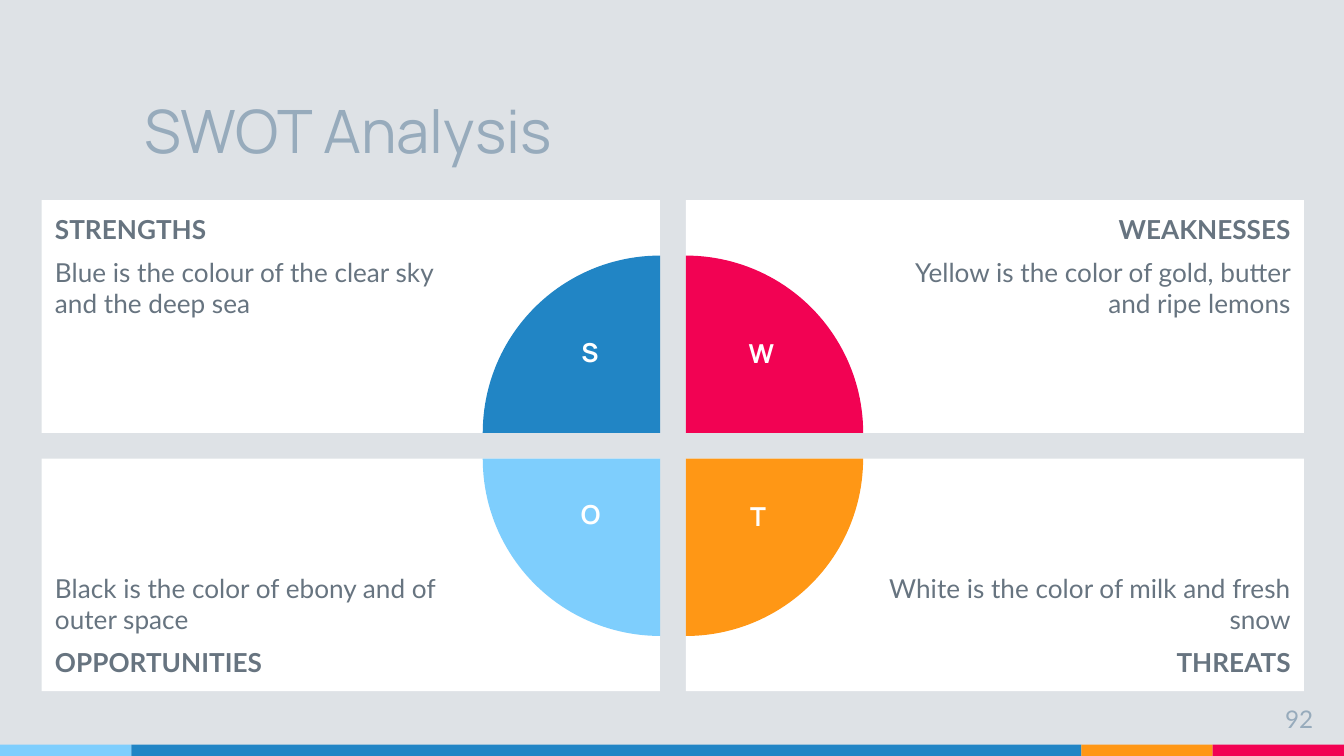
from pptx import Presentation
from pptx.dml.color import RGBColor
from pptx.enum import shapes, text
from pptx.util import Pt

BACK = RGBColor(0xDE, 0xE2, 0xE6)
WHITE = RGBColor(0xFF, 0xFF, 0xFF)
MIST = RGBColor(0x97, 0xAB, 0xBC)
SLATE = RGBColor(0x67, 0x74, 0x80)
BLUE = RGBColor(0x21, 0x85, 0xC5)
RED = RGBColor(0xF2, 0x02, 0x53)
AMBER = RGBColor(0xFF, 0x97, 0x15)
SKY = RGBColor(0x7E, 0xCE, 0xFD)

LEFT, RIGHT = text.PP_ALIGN.LEFT, text.PP_ALIGN.RIGHT
MID = text.PP_ALIGN.CENTER
TOP, BASE = text.MSO_ANCHOR.TOP, text.MSO_ANCHOR.BOTTOM
RECT, PIE = shapes.MSO_SHAPE.RECTANGLE, shapes.MSO_SHAPE.PIE

# Content: head, body, column, row, colour, turn, letter, letter box
PARTS = [
    ("STRENGTHS", "Blue is the colour of the clear sky and the deep sea",
     0, 0, BLUE, 0, "S", (302.4, 176.4, 27.4, 35)),
    ("WEAKNESSES", "Yellow is the color of gold, butter and ripe lemons",
     1, 0, RED, 90, "W", (382.3, 177, 51.1, 35)),
    ("THREATS", "White is the color of milk and fresh snow",
     1, 1, AMBER, 180, "T", (391.7, 264.3, 28.8, 35)),
    ("OPPORTUNITIES", "Black is the color of ebony and of outer space",
     0, 1, SKY, 270, "O", (299.5, 263.6, 33.8, 35)),
]
BANDS = [(SKY, 70.4), (BLUE, 509), (AMBER, 70.3), (RED, 70.3)]

# Grid
CARD_W, CARD_H, GAP = 331.2, 124.6, 13.8
CARD_X, CARD_Y = 22.4, 107.3
PIE_D = 190

deck = Presentation()
deck.slide_width, deck.slide_height = Pt(720), Pt(405)
slide = deck.slides.add_slide(deck.slide_layouts[5])
slide.background.fill.solid()
slide.background.fill.fore_color.rgb = BACK


def add(kind, box, color):
    item = slide.shapes.add_shape(kind, *map(Pt, box))
    item.shadow.inherit = False
    item.fill.solid()
    item.fill.fore_color.rgb = color
    item.line.fill.background()
    return item


def write(item, lines, font="Lato", size=14, color=SLATE, align=LEFT,
          anchor=TOP, pad=(7.2, 7.2, 7.2, 7.2)):
    """Fill a shape with (words, bold) lines."""
    frame = item.text_frame
    frame.word_wrap = True
    frame.auto_size = text.MSO_AUTO_SIZE.NONE
    frame.vertical_anchor = anchor
    (frame.margin_left, frame.margin_top,
     frame.margin_right, frame.margin_bottom) = map(Pt, pad)
    for n, (words, bold) in enumerate(lines):
        para = frame.add_paragraph() if n else frame.paragraphs[0]
        para.alignment = align
        para.space_before = Pt(6 if n else 0)
        run = para.add_run()
        run.text = words
        run.font.name, run.font.size = font, Pt(size)
        run.font.bold = bold
        run.font.color.rgb = color


def label(box, words, bold=False, **look):
    write(slide.shapes.add_textbox(*map(Pt, box)), [(words, bold)], **look)


# Footer bands
x = 0
for color, wide in BANDS:
    add(RECT, (x, 399, wide, 6), color)
    x += wide

# Title and page number
title = slide.shapes.title
title.left, title.top, title.width, title.height = map(
    Pt, (70.4, 28.2, 509, 67.5))
write(title, [("SWOT Analysis", False)], font="Manrope", size=32,
      color=MIST, anchor=BASE)
label((667.4, 370, 43.2, 24.5), "92", size=13, color=MIST, align=RIGHT)

# Cards
for head, body, col, row, *_ in PARTS:
    card = add(RECT, (CARD_X + col * (CARD_W + GAP),
                      CARD_Y + row * (CARD_H + GAP), CARD_W, CARD_H), WHITE)
    lines = [(head, True), (body, False)]
    write(card, lines[::-1] if row else lines,
          align=RIGHT if col else LEFT, anchor=BASE if row else TOP,
          pad=(108, 7.2, 7.2, 7.2) if col else (7.2, 7.2, 108, 7.2))

# Quarter pies, each centred on the inner corner of its card
for _, _, col, row, color, turn, _, _ in PARTS:
    quad = add(PIE, (CARD_X + CARD_W + col * GAP - PIE_D / 2,
                     CARD_Y + CARD_H + row * GAP - PIE_D / 2,
                     PIE_D, PIE_D), color)
    quad.adjustments[0], quad.adjustments[1] = 108, 162
    quad.rotation = turn

# Letters
for *_, letter, box in PARTS:
    label(box, letter, bold=True, font="Manrope", color=WHITE, align=MID,
          pad=(7.2, 3.6, 7.2, 3.6))

deck.save("out.pptx")
